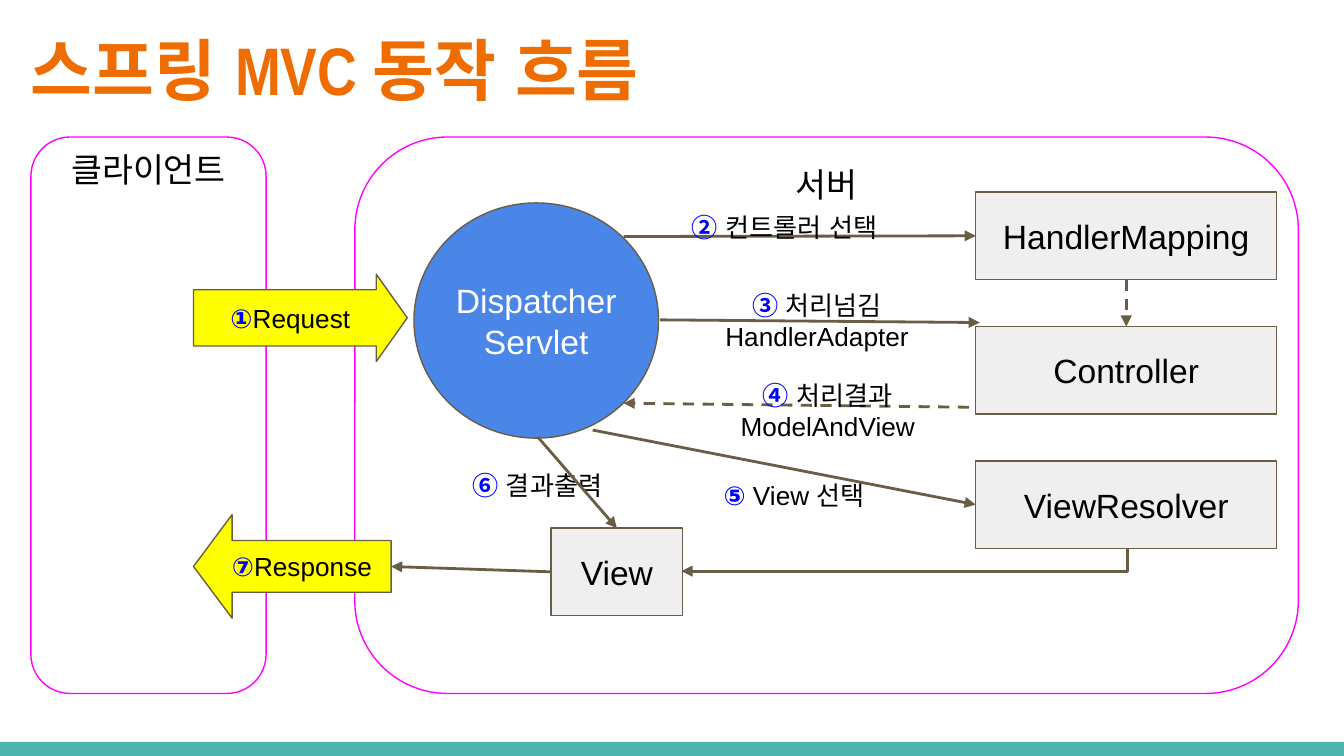
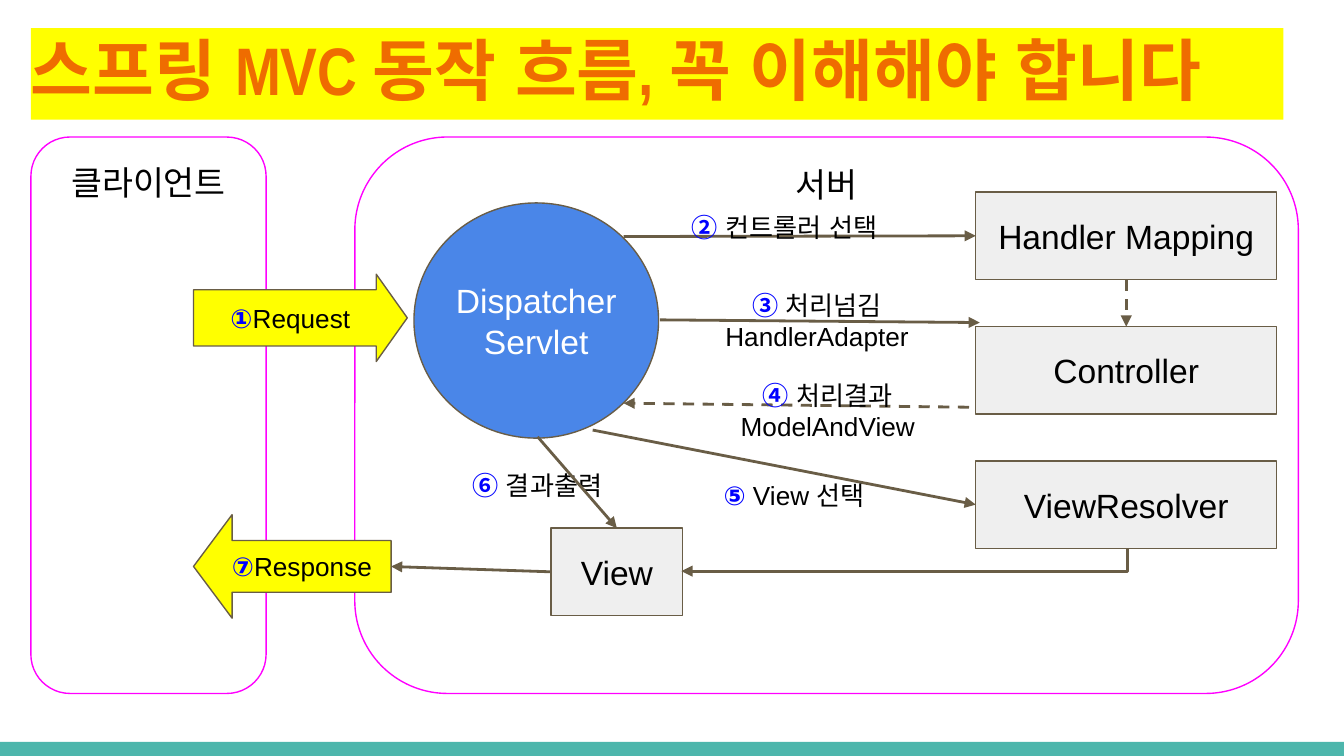
import lxml.etree
import pptx
import pptx.dml.color
import pptx.enum.dml
import pptx.enum.shapes
import pptx.enum.text
import pptx.oxml.ns
import pptx.util

Inches = pptx.util.Inches
SHAPE = pptx.enum.shapes.MSO_SHAPE
CONNECTOR = pptx.enum.shapes.MSO_CONNECTOR
ALIGN = pptx.enum.text.PP_ALIGN
ANCHOR = pptx.enum.text.MSO_ANCHOR
qn = pptx.oxml.ns.qn

TOP, LEFT, BOTTOM, RIGHT = range(4)


def color(value):
    return pptx.dml.color.RGBColor.from_string(value)


def write(shape, text, marker="", size=18, ink="000000", font="Arial", bold=False,
          align=ALIGN.CENTER, anchor=ANCHOR.TOP, inset=0.1):
    frame = shape.text_frame
    frame.word_wrap = True
    frame.auto_size = pptx.enum.text.MSO_AUTO_SIZE.NONE
    frame.vertical_anchor = anchor
    frame.margin_left = frame.margin_right = Inches(inset)
    frame.margin_top = frame.margin_bottom = Inches(inset)
    for index, line in enumerate(text.split("\n")):
        paragraph = frame.add_paragraph() if index else frame.paragraphs[0]
        paragraph.alignment = align
        runs = [(line, ink, bold)]
        if marker and index == 0:
            runs.insert(0, (marker, Diagram.marker_ink, True))
        for content, run_ink, run_bold in runs:
            run = paragraph.add_run()
            run.text = content
            run.font.size = pptx.util.Pt(size)
            run.font.name = font
            run.font.bold = run_bold
            run.font.color.rgb = color(run_ink)
            east_asian = lxml.etree.Element(qn("a:ea"), typeface="Arial")
            run.font._element.find(qn("a:latin")).addnext(east_asian)


class Diagram:
    title_ink = "EF6C00"
    band_fill = "4DB6AC"
    frame_line = "FF00FF"
    outline = "695D46"
    servlet_fill = "4A86E8"
    box_fill = "EFEFEF"
    highlight = "FFFF00"
    marker_ink = "0000FF"

    def __init__(self):
        self.deck = pptx.Presentation()
        self.deck.slide_width = Inches(10)
        self.deck.slide_height = Inches(10) * 9 // 16
        self.layout = self.deck.slide_layouts[5]
        self.slide = None

    def add_slide(self, heading, height, fill=None):
        self.slide = self.deck.slides.add_slide(self.layout)
        if len(self.deck.slides) == 1:
            band = self.shape(SHAPE.RECTANGLE, 0, 5.52, 10, 0.11, self.band_fill, None)
            self.layout.shapes._spTree.append(band._element)
        title = self.slide.shapes.title
        title.left, title.top = Inches(0.23), Inches(0.21)
        title.width, title.height = Inches(9.32), Inches(height)
        if fill:
            title.fill.solid()
            title.fill.fore_color.rgb = color(fill)
        write(title, heading, size=36, ink=self.title_ink, font="Arial Narrow",
              bold=True, align=ALIGN.LEFT, inset=0)

    def shape(self, preset, x, y, width, height, fill, line):
        shape = self.slide.shapes.add_shape(
            preset, Inches(x), Inches(y), Inches(width), Inches(height))
        shape.shadow.inherit = False
        if fill:
            shape.fill.solid()
            shape.fill.fore_color.rgb = color(fill)
        else:
            shape.fill.background()
        if line:
            shape.line.color.rgb = color(line)
            shape.line.width = pptx.util.Pt(0.75)
        else:
            shape.line.fill.background()
        return shape

    def frame(self, text, x, width, inset=0):
        frame = self.shape(SHAPE.FLOWCHART_ALTERNATE_PROCESS, x, 1.02, width, 4.14,
                           None, self.frame_line)
        write(frame, text, inset=inset)

    def servlet(self, text):
        servlet = self.shape(SHAPE.OVAL, 3.08, 1.51, 1.82, 1.75,
                             self.servlet_fill, self.outline)
        write(servlet, text, ink="FFFFFF", anchor=ANCHOR.MIDDLE, inset=0)

    def box(self, text, x, y, width):
        box = self.shape(SHAPE.RECTANGLE, x, y, width, 0.65, self.box_fill, self.outline)
        write(box, text, anchor=ANCHOR.MIDDLE)
        return box

    def block_arrow(self, preset, marker, text, y, width, height, adjustments):
        arrow = self.shape(preset, 1.44, y, width, height, self.highlight, self.outline)
        for index, value in enumerate(adjustments):
            arrow.adjustments[index] = value
        write(arrow, text, marker, size=14, anchor=ANCHOR.MIDDLE)
        return arrow

    def label(self, marker, text, x, y, width=1.7, height=0.37, align=ALIGN.CENTER):
        label = self.slide.shapes.add_textbox(
            Inches(x), Inches(y), Inches(width), Inches(height))
        write(label, text, marker, size=14, align=align)

    def link(self, start, end, begin=None, finish=None, dashed=False,
             kind=CONNECTOR.STRAIGHT):
        link = self.slide.shapes.add_connector(
            kind, *(Inches(value) for value in (*start, *end)))
        if begin:
            link.begin_connect(*begin)
        if finish:
            link.end_connect(*finish)
        link.line.color.rgb = color(self.outline)
        link.line.width = pptx.util.Pt(1.5)
        if dashed:
            link.line.dash_style = pptx.enum.dml.MSO_LINE.DASH
        properties = link._element.spPr
        lxml.etree.SubElement(properties.find(qn("a:ln")), qn("a:tailEnd"), type="triangle")
        lxml.etree.SubElement(properties, qn("a:effectLst"))
        return link

    def corner_link(self, start, end):
        across, down = start[0] - end[0], end[1] - start[1]
        middle_x, middle_y = (start[0] + end[0]) / 2, (start[1] + end[1]) / 2
        link = self.link((middle_x - down / 2, middle_y - across / 2),
                         (middle_x + down / 2, middle_y + across / 2),
                         kind=CONNECTOR.ELBOW)
        properties = link._element.spPr
        properties.find(qn("a:xfrm")).set("rot", "5400000")
        properties.find(qn("a:prstGeom")).set("prst", "bentConnector2")

    def flow(self, mapping_name, client_inset):
        self.frame("클라이언트", 0.23, 1.75, client_inset)
        self.frame("서버", 2.64, 7.02)
        self.servlet("Dispatcher\nServlet")
        self.block_arrow(SHAPE.RIGHT_ARROW, "①", "Request", 2.04, 1.59, 0.65,
                         (0.645, 0.355))
        mapping, controller, resolver = (
            self.box(name, 7.26, 1.43 + row, 2.24)
            for row, name in enumerate((mapping_name, "Controller", "ViewResolver")))
        view = self.box("View", 4.1, 3.93, 0.98)
        response = self.block_arrow(SHAPE.LEFT_ARROW, "⑦", "Response", 3.83, 1.47, 0.77,
                                    (0.5, 0.373))

        self.link((4.64, 1.76), (7.26, 1.75), finish=(mapping, LEFT))
        self.link((8.38, 2.08), (8.38, 2.43), (mapping, BOTTOM), (controller, TOP),
                  dashed=True)
        self.link((7.21, 3.03), (4.64, 3), dashed=True)
        self.link((4.91, 2.38), (7.29, 2.4))
        self.link((4.41, 3.2), (7.26, 3.75), finish=(resolver, LEFT))
        self.link((4.1, 4.25), (2.91, 4.22), (view, LEFT), (response, RIGHT))
        self.corner_link((8.39, 4.08), (5.07, 4.25))

        self.label("②", " 컨트롤러 선택", 5.05, 1.47, width=2.19, height=0.36,
                   align=ALIGN.LEFT)
        self.label("③", " 처리넘김\nHandlerAdapter", 5.23, 2.05, height=0.36)
        self.label("④", " 처리결과\nModelAndView", 5.31, 2.72, height=0.65)
        self.label("⑤", " View 선택", 5.06, 3.47)
        self.label("⑥", " 결과출력", 3.15, 3.39)
        self.link((4, 3.25), (4.58, 3.93), finish=(view, TOP))


def main():
    diagram = Diagram()
    diagram.add_slide("스프링 MVC 동작 흐름", 0.77)
    diagram.flow("HandlerMapping", 0)
    diagram.add_slide("스프링 MVC 동작 흐름, 꼭 이해해야 합니다", 0.68, Diagram.highlight)
    diagram.flow("Handler Mapping", 0.1)
    diagram.deck.save("out.pptx")


if __name__ == "__main__":
    main()
